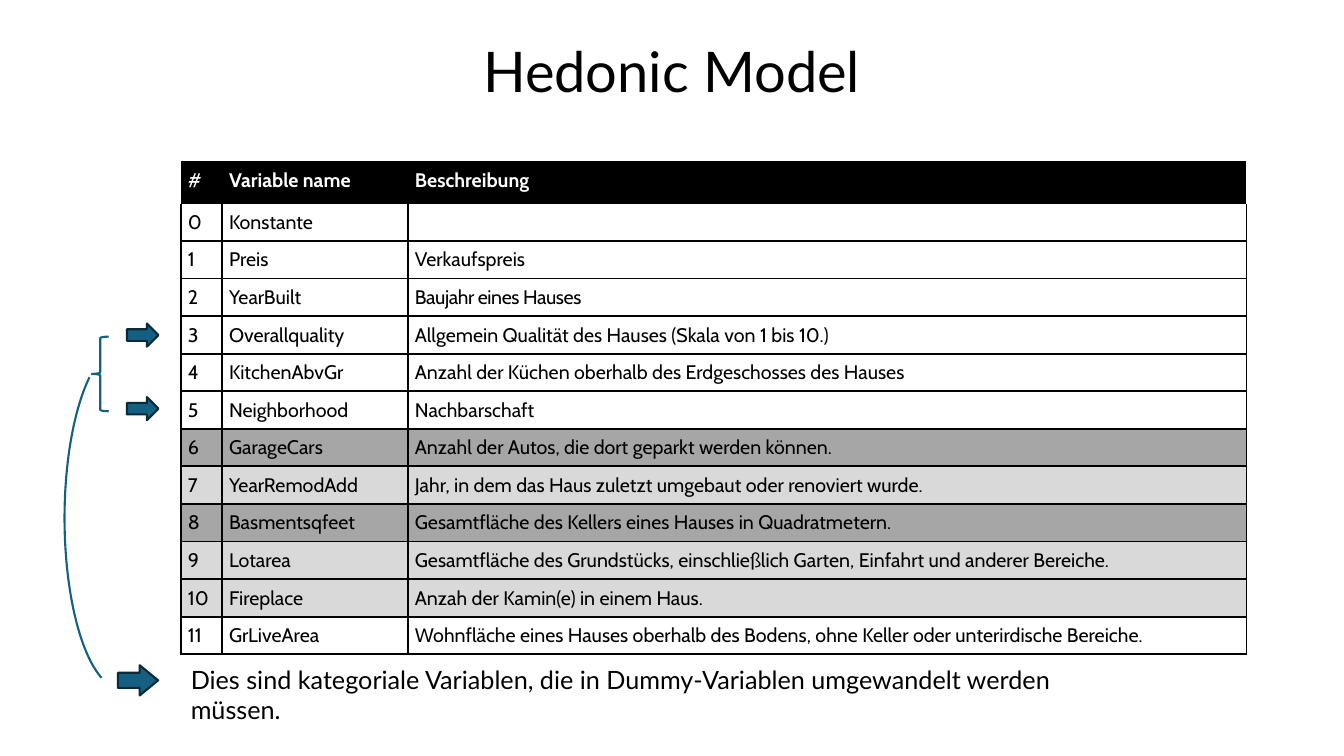
"""Build the slide that lists the variables of the hedonic model."""
from lxml.etree import SubElement
from pptx import Presentation
from pptx.dml.color import RGBColor
from pptx.enum.shapes import MSO_SHAPE
from pptx.enum.text import MSO_ANCHOR, MSO_AUTO_SIZE, PP_ALIGN
from pptx.oxml.ns import qn
from pptx.util import Pt

COLORS = {
    "black": "000000",
    "white": "FFFFFF",
    "dark_gray": "A6A6A6",
    "light_gray": "D9D9D9",
    "blue": "156082",
    "navy": "092A39",
}
PLAIN_TABLE_STYLE = "{2D5ABB26-0587-4C30-8999-92F81FD0307C}"
HEADER = ("#", "Variable name", "Beschreibung")
VARIABLES = [
    ("Konstante", "", None),
    ("Preis", "Verkaufspreis", None),
    ("YearBuilt", "Baujahr eines Hauses", None),
    ("Overallquality", "Allgemein Qualität des Hauses (Skala von 1 bis 10.)", None),
    ("KitchenAbvGr", "Anzahl der Küchen oberhalb des Erdgeschosses des Hauses", None),
    ("Neighborhood", "Nachbarschaft", None),
    ("GarageCars", "Anzahl der Autos, die dort geparkt werden können.", "dark_gray"),
    ("YearRemodAdd", "Jahr, in dem das Haus zuletzt umgebaut oder renoviert wurde.",
     "light_gray"),
    ("Basmentsqfeet", "Gesamtfläche des Kellers eines Hauses in Quadratmetern.",
     "dark_gray"),
    ("Lotarea", "Gesamtfläche des Grundstücks, einschließlich Garten, Einfahrt und "
     "anderer Bereiche.", "light_gray"),
    ("Fireplace", "Anzah der Kamin(e) in einem Haus.", "light_gray"),
    ("GrLiveArea", "Wohnfläche eines Hauses oberhalb des Bodens, ohne Keller oder "
     "unterirdische Bereiche.", None),
]
CONDENSED = {"Baujahr eines Hauses": "-30"}
COLUMN_WIDTHS = (29.4, 132.8, 599)
HEADER_HEIGHT, FIRST_HEIGHT, ROW_HEIGHT = 31, 26.1, 26.85


def rgb(color):
    """Return the named color."""
    return RGBColor.from_string(COLORS[color])


def place(shape, left, top, width, height):
    """Move and size a shape, in points."""
    shape.left, shape.top = Pt(left), Pt(top)
    shape.width, shape.height = Pt(width), Pt(height)


def format_text(paragraph, font_name, size, color="black", bold=False):
    """Format all runs of a paragraph."""
    for run in paragraph.runs:
        run.font.name = font_name
        run.font.size = Pt(size)
        run.font.bold = bold
        run.font.color.rgb = rgb(color)


def add_title(slide, title):
    """Fill and format the title placeholder."""
    place(slide.shapes.title, 316, 24.5, 327.6, 49.7)
    frame = slide.shapes.title.text_frame
    frame.text = title
    frame.margin_left = frame.margin_top = frame.margin_right = frame.margin_bottom = 0
    frame.vertical_anchor = MSO_ANCHOR.BOTTOM
    frame.auto_size = MSO_AUTO_SIZE.NONE
    frame.paragraphs[0].alignment = PP_ALIGN.CENTER
    format_text(frame.paragraphs[0], "Lato", 40)


def add_borders(cell):
    """Draw black lines at the left, right and bottom of a cell."""
    properties = cell._tc.get_or_add_tcPr()
    for side in ("a:lnL", "a:lnR", "a:lnB"):
        border = SubElement(properties, qn(side), w=str(Pt(1.5)))
        fill = SubElement(border, qn("a:solidFill"))
        SubElement(fill, qn("a:srgbClr"), val=COLORS["black"])


def fill_cell(cell, text, top_gap, color="black", fill=None, bold=False):
    """Write and format one table cell."""
    cell.margin_left, cell.margin_top = Pt(5), Pt(top_gap)
    cell.margin_right = cell.margin_bottom = 0
    paragraph = cell.text_frame.paragraphs[0]
    paragraph.text = text
    paragraph.space_before = Pt(top_gap)
    format_text(paragraph, "Cabin", 14, color, bold)
    if text in CONDENSED:
        paragraph.runs[0]._r.get_or_add_rPr().set("spc", CONDENSED[text])
    if fill:
        cell.fill.solid()
        cell.fill.fore_color.rgb = rgb(fill)
    else:
        cell.fill.background()


def add_variable_table(slide):
    """Add the table of numbered variables."""
    heights = [HEADER_HEIGHT, FIRST_HEIGHT] + [ROW_HEIGHT] * (len(VARIABLES) - 1)
    table = slide.shapes.add_table(
        len(heights), len(HEADER), Pt(129.2), Pt(114.8),
        Pt(sum(COLUMN_WIDTHS)), Pt(sum(heights))).table
    table._tbl.tblPr.find(qn("a:tableStyleId")).text = PLAIN_TABLE_STYLE
    table.horz_banding = False
    for column, width in zip(table.columns, COLUMN_WIDTHS):
        column.width = Pt(width)
    for row, height in zip(table.rows, heights):
        row.height = Pt(height)
    for cell, label in zip(table.rows[0].cells, HEADER):
        fill_cell(cell, label, 5.8, "white", "black", bold=label != "#")
    for number, (variable, description, fill) in enumerate(VARIABLES):
        top_gap = 5 if number else 4.3
        texts = (str(number), variable, description)
        for cell, text in zip(table.rows[number + 1].cells, texts):
            add_borders(cell)
            fill_cell(cell, text, top_gap, fill=fill)


def add_mark(slide, kind, bounds, line, fill=None):
    """Add an arrow, brace or arc."""
    mark = slide.shapes.add_shape(kind, *map(Pt, bounds))
    mark.shadow.inherit = False
    mark.line.color.rgb = rgb(line)
    mark.line.width = Pt(1.5)
    if fill:
        mark.fill.solid()
        mark.fill.fore_color.rgb = rgb(fill)
    else:
        mark.fill.background()
    return mark


def add_note(slide, note):
    """Add the remark below the table."""
    box = slide.shapes.add_textbox(Pt(129.2), Pt(471), Pt(689), Pt(29))
    box.text_frame.word_wrap = True
    box.text_frame.text = note
    format_text(box.text_frame.paragraphs[0], "Lato", 18)


def main():
    """Build and save the slide."""
    deck = Presentation()
    deck.slide_width, deck.slide_height = Pt(960), Pt(540)
    slide = deck.slides.add_slide(deck.slide_layouts[5])
    add_title(slide, "Hedonic Model")
    add_variable_table(slide)
    for top in (283.7, 231.1):
        add_mark(slide, MSO_SHAPE.RIGHT_ARROW, (90.7, top, 22.5, 16.5), "navy", "blue")
    add_note(slide, "Dies sind kategoriale Variablen, die in Dummy-Variablen "
                    "umgewandelt werden müssen.")
    add_mark(slide, MSO_SHAPE.LEFT_BRACE, (65.5, 240.5, 12.2, 53.3), "blue")
    link = add_mark(slide, MSO_SHAPE.ARC, (46.1, 247.7, 82.8, 244.8), "blue")
    link.rotation = 180
    link.adjustments[0], link.adjustments[1] = 166.5, 46.09
    note_arrow = add_mark(
        slide, MSO_SHAPE.RIGHT_ARROW, (84.2, 475.2, 28.8, 21.6), "navy", "blue")
    note_arrow.adjustments[1] = 0.61
    deck.save("out.pptx")


if __name__ == "__main__":
    main()
